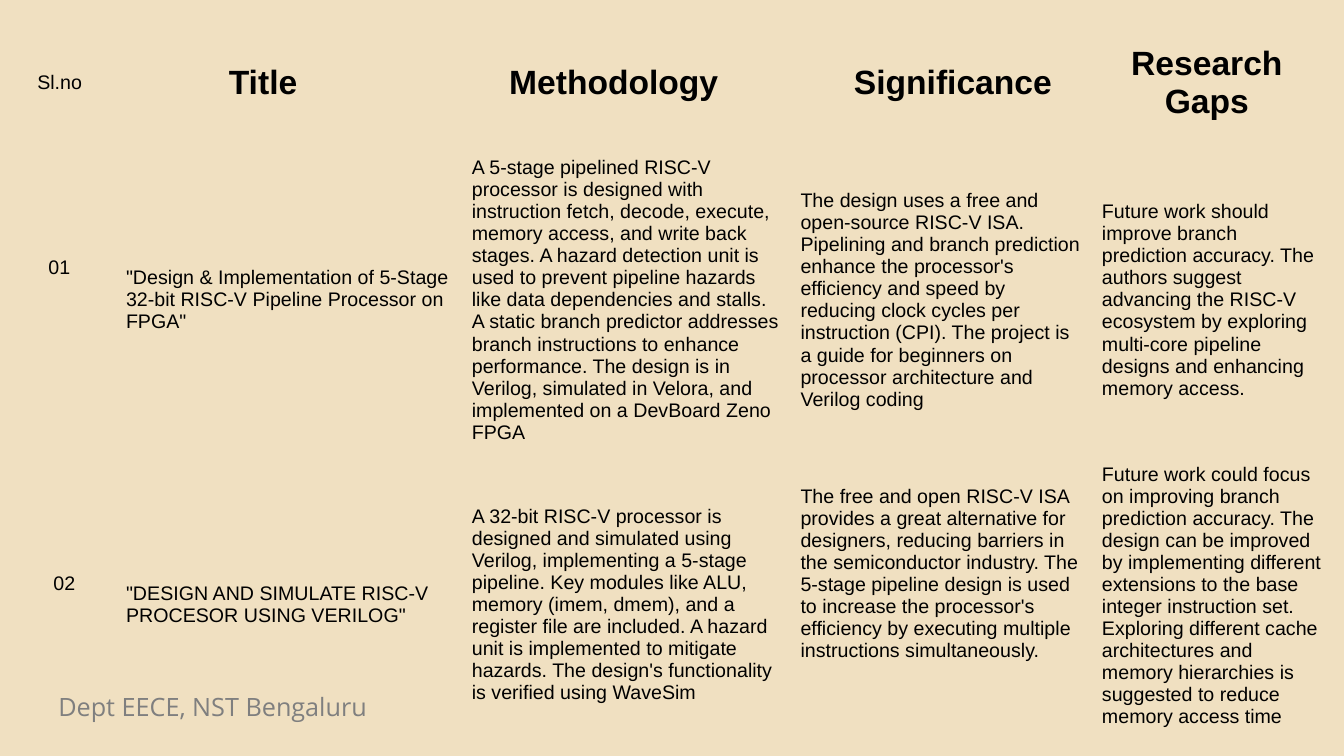
from dataclasses import dataclass

from pptx import Presentation
from pptx.dml.color import RGBColor
from pptx.enum.text import MSO_ANCHOR, PP_ALIGN
from pptx.oxml.ns import qn
from pptx.util import Inches, Pt


@dataclass(frozen=True)
class Theme:
    background: RGBColor = RGBColor(0xF0, 0xE0, 0xC1)
    ink: RGBColor = RGBColor(0, 0, 0)
    footer_ink: RGBColor = RGBColor(0x7F, 0x7F, 0x7F)
    font: str = "Arial"
    footer_font: str = "Open Sans"
    body_size: Pt = Pt(14)
    footer_size: Pt = Pt(18)
    heading_size: Pt = Pt(24)


THEME = Theme()
NO_STYLE_NO_GRID = "{2D5ABB26-0587-4C30-8999-92F81FD0307C}"
COLUMN_WIDTHS = [0.88, 3.43, 3.26, 2.99, 2.38]
ROW_HEIGHTS = [1.18, 3.13, 2.91]

ROWS = [
    ["Sl.no", "Title", "Methodology", "Significance", "Research Gaps"],
    [
        "01",
        '"Design & Implementation of 5-Stage 32-bit RISC-V Pipeline Processor on FPGA"',
        "A 5-stage pipelined RISC-V processor is designed with instruction fetch, decode, "
        "execute, memory access, and write back stages. A hazard detection unit is used to "
        "prevent pipeline hazards like data dependencies and stalls. A static branch predictor "
        "addresses branch instructions to enhance performance. The design is in Verilog, "
        "simulated in Velora, and implemented on a DevBoard Zeno FPGA",
        "The design uses a free and open-source RISC-V ISA. Pipelining and branch prediction "
        "enhance the processor's efficiency and speed by reducing clock cycles per instruction "
        "(CPI). The project is a guide for beginners on processor architecture and Verilog coding",
        "Future work should improve branch prediction accuracy. The authors suggest advancing "
        "the RISC-V ecosystem by exploring multi-core pipeline designs and enhancing memory access.",
    ],
    [
        "02",
        '"DESIGN AND SIMULATE RISC-V PROCESOR USING VERILOG"',
        "A 32-bit RISC-V processor is designed and simulated using Verilog, implementing a "
        "5-stage pipeline. Key modules like ALU, memory (imem, dmem), and a register file are "
        "included. A hazard unit is implemented to mitigate hazards. The design's functionality "
        "is verified using WaveSim",
        "The free and open RISC-V ISA provides a great alternative for designers, reducing "
        "barriers in the semiconductor industry. The 5-stage pipeline design is used to increase "
        "the processor's efficiency by executing multiple instructions simultaneously.",
        "Future work could focus on improving branch prediction accuracy. The design can be "
        "improved by implementing different extensions to the base integer instruction set. "
        "Exploring different cache architectures and memory hierarchies is suggested to reduce "
        "memory access time",
    ],
]

# Cells keyed by (row, column); all others use the default margins and the middle anchor.
LEFT_MARGINS = {(0, 1): 1.12, (0, 2): 0.47, (0, 3): 0.63, (1, 0): 0.21, (2, 0): 0.26}
TOP_MARGINS = {(1, 0): 1.14, (2, 0): 1.14, (2, 3): 0.27, (2, 4): 0.05}


def add_text(paragraph, text, size, font_name, color, bold=False):
    run = paragraph.add_run()
    run.text = text
    run.font.size = size
    run.font.name = font_name
    run.font.bold = bold
    run.font.color.rgb = color


presentation = Presentation()
presentation.slide_width = Inches(13.33)
presentation.slide_height = Inches(7.5)
slide = presentation.slides.add_slide(presentation.slide_layouts[6])
slide.background.fill.solid()
slide.background.fill.fore_color.rgb = THEME.background

# Footer
footer = slide.shapes.add_textbox(Inches(0.48), Inches(6.81), Inches(5.24), Inches(0.4))
footer.text_frame.word_wrap = True
add_text(footer.text_frame.paragraphs[0], "Dept EECE, NST Bengaluru",
         THEME.footer_size, THEME.footer_font, THEME.footer_ink)

# Literature table
table_frame = slide.shapes.add_table(
    len(ROW_HEIGHTS), len(COLUMN_WIDTHS), Inches(0.27), Inches(0.23),
    Inches(sum(COLUMN_WIDTHS)), Inches(sum(ROW_HEIGHTS)))
table = table_frame.table
table.first_row = False
table.horz_banding = False
table_frame.element.find(".//" + qn("a:tableStyleId")).text = NO_STYLE_NO_GRID
for column, width in zip(table.columns, COLUMN_WIDTHS):
    column.width = Inches(width)
for row, height in zip(table.rows, ROW_HEIGHTS):
    row.height = Inches(height)

for row_index, texts in enumerate(ROWS):
    for column_index, text in enumerate(texts):
        position = (row_index, column_index)
        cell = table.cell(row_index, column_index)
        cell.fill.background()
        cell.margin_left = Inches(LEFT_MARGINS.get(position, 0.1))
        cell.vertical_anchor = MSO_ANCHOR.MIDDLE
        if position in TOP_MARGINS:
            cell.vertical_anchor = MSO_ANCHOR.TOP
            cell.margin_top = Inches(TOP_MARGINS[position])
        is_heading = row_index == 0 and column_index > 0
        add_text(cell.text_frame.paragraphs[0], text,
                 THEME.heading_size if is_heading else THEME.body_size,
                 THEME.font, THEME.ink, bold=is_heading)

research_gaps = table.cell(0, 4)
research_gaps.margin_right = Inches(0.2)
research_gaps.text_frame.paragraphs[0].alignment = PP_ALIGN.CENTER

presentation.save("out.pptx")
